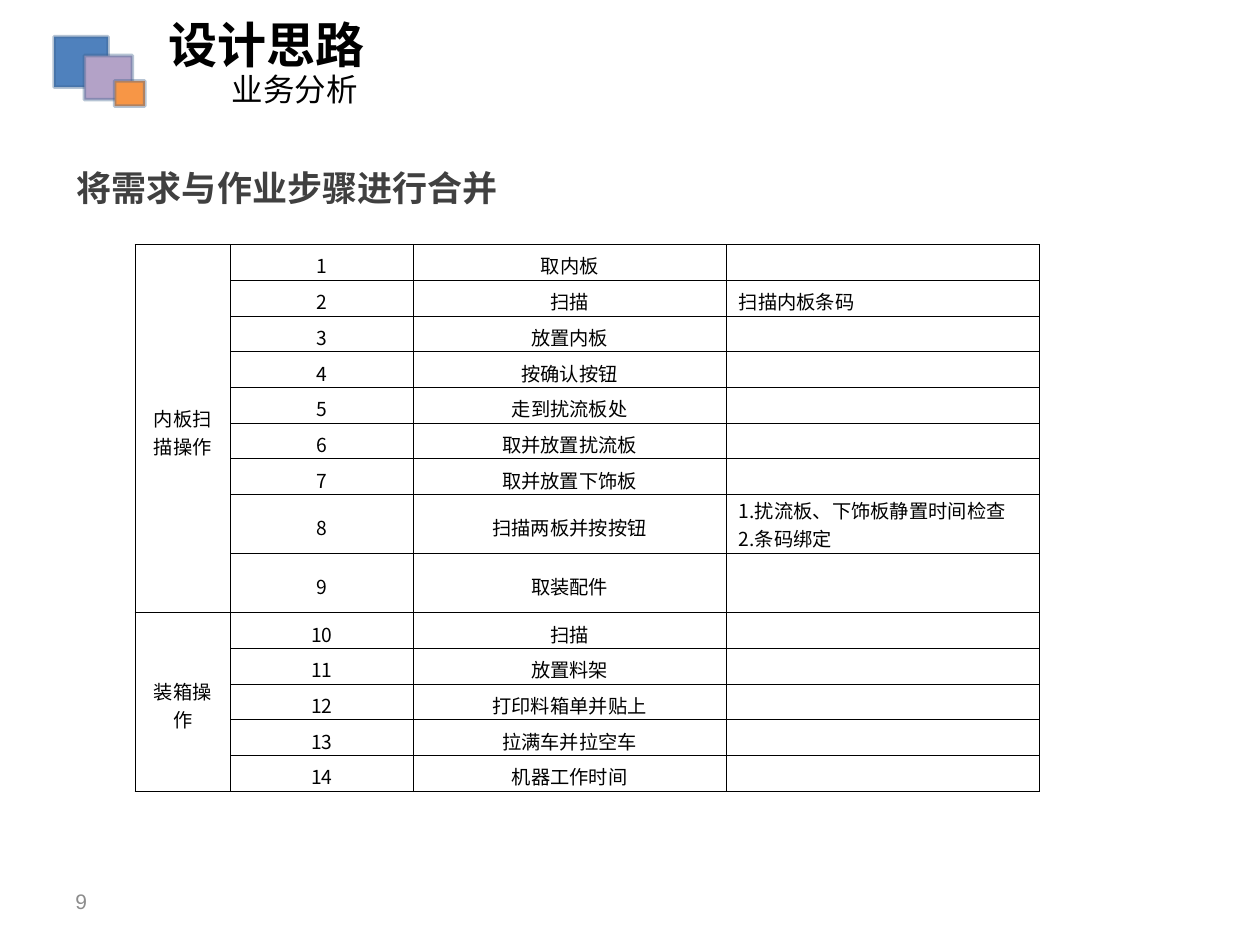
import pptx
import pptx.util
import pptx.dml.color
import pptx.enum.shapes
import pptx.enum.text
import pptx.oxml.ns
import lxml.etree

Cm = pptx.util.Cm
Pt = pptx.util.Pt
qn = pptx.oxml.ns.qn
sub = lxml.etree.SubElement
hei = "Noto Sans CJK SC"
mid = pptx.enum.text.MSO_ANCHOR.MIDDLE
align = pptx.enum.text.PP_ALIGN


def paint(target, color):
    target.fill.solid()
    target.fill.fore_color.rgb = pptx.dml.color.RGBColor.from_string(color)


def style(para, size, color="000000", bold=False, name=hei):
    font = para.font
    font.size = Pt(size)
    font.bold = bold
    paint(font, color)
    font.name = name
    for node in para._p.iter(qn("a:defRPr")):
        sub(node, qn("a:ea"), typeface=name)


deck = pptx.Presentation()
deck.slide_width = Cm(25.4)
deck.slide_height = Cm(19.05)
slide = deck.slides.add_slide(deck.slide_layouts[6])
shapes = slide.shapes

page = shapes.add_textbox(Cm(1.27), Cm(17.65), Cm(5.92), Cm(1.02)).text_frame
page.word_wrap = True
page.vertical_anchor = mid
page.text = "9"
style(page.paragraphs[0], 12, "8C8C8C", name="Arial")

logo = shapes.add_group_shape()
for left, top, width, height, color in [
    (1.09, 0.74, 1.09, 1.02, "4F81BD"),
    (1.7, 1.12, 0.97, 0.89, "B3A2C7"),
    (2.31, 1.63, 0.61, 0.51, "F79646"),
]:
    box = logo.shapes.add_shape(
        pptx.enum.shapes.MSO_SHAPE.RECTANGLE,
        Cm(left), Cm(top), Cm(width), Cm(height))
    box.shadow.inherit = False
    paint(box, color)
    paint(box.line, "3A5F8C")
    box.line.width = Pt(2)
    for node in box.line._ln.iter(qn("a:srgbClr")):
        sub(node, qn("a:alpha"), val="37000")

title = shapes.add_textbox(Cm(3.15), Cm(0.3), Cm(19), Cm(2.24)).text_frame
title.word_wrap = True
para = title.paragraphs[0]
para.line_spacing = 0.9
style(para, 18)
run = para.add_run()
run.text = "设计思路"
run.font.size = Pt(28)
run.font.bold = True
para.add_line_break()
para.add_run().text = "\t业务分析"

head = shapes.add_textbox(Cm(1.3), Cm(3.33), Cm(21.79), Cm(1.6)).text_frame
head.word_wrap = False
head.text = "将需求与作业步骤进行合并"
head.paragraphs[0].line_spacing = 0.9
style(head.paragraphs[0], 20, "404040", True)

steps = [
    "取内板", "扫描", "放置内板", "按确认按钮", "走到扰流板处",
    "取并放置扰流板", "取并放置下饰板", "扫描两板并按按钮", "取装配件",
    "扫描", "放置料架", "打印料箱单并贴上", "拉满车并拉空车", "机器工作时间",
]
notes = {2: "扫描内板条码", 8: "1.扰流板、下饰板静置时间检查\v2.条码绑定"}
stages = {1: ("内板扫描操作", 9), 10: ("装箱操作", 14)}

table = shapes.add_table(
    len(steps), 4, Cm(2.72), Cm(4.93), Cm(18.23), Cm(11.02)).table
table.first_row = False
table.horz_banding = False
for col, width in zip(table.columns, [1.93, 3.68, 6.31, 6.31]):
    col.width = Cm(width)

for num, step in enumerate(steps, 1):
    row = table.rows[num - 1]
    row.height = Cm(1.19 if num in (8, 9) else 0.72)
    stage = stages.get(num, ("", 0))[0]
    texts = [stage, str(num), step, notes.get(num, "")]
    for pos, (cell, text) in enumerate(zip(row.cells, texts)):
        cell.text = text
        cell.vertical_anchor = mid
        cell.margin_top = Cm(0 if "\v" in text else 0.12)
        cell.margin_bottom = 0
        para = cell.text_frame.paragraphs[0]
        para.alignment = align.LEFT if pos == 3 else align.CENTER
        style(para, 11)
        if not text:
            sub(para._p, qn("a:endParaRPr"), sz="1100")
        props = cell._tc.get_or_add_tcPr()
        for side in "LRTB":
            line = sub(props, qn("a:ln" + side), w=str(Pt(0.5)))
            fill = sub(line, qn("a:solidFill"))
            sub(fill, qn("a:srgbClr"), val="000000")
        cell.fill.background()

for first, (stage, last) in stages.items():
    table.cell(first - 1, 0).merge(table.cell(last - 1, 0))

deck.save("out.pptx")
